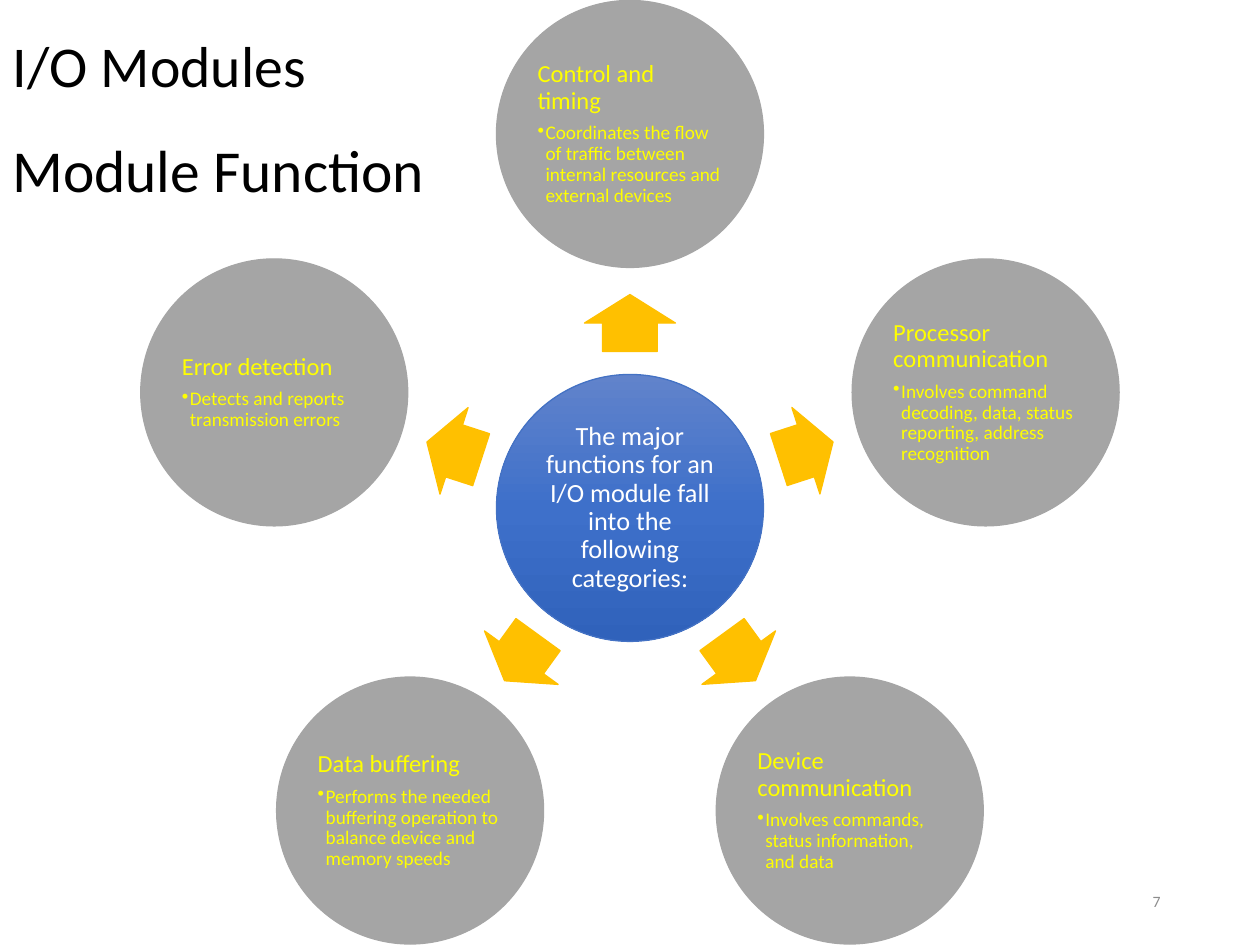
"""Build the I/O module functions slide with a radial diagram."""
import copy
import dataclasses
import math

import pptx
import pptx.dml.color
import pptx.enum.shapes
import pptx.enum.text
import pptx.oxml.ns
import pptx.util
from lxml import etree

ALIGN = pptx.enum.text.PP_ALIGN
ANCHOR = pptx.enum.text.MSO_ANCHOR
SHAPE = pptx.enum.shapes.MSO_SHAPE


@dataclasses.dataclass(frozen=True)
class Theme:
    font: str = "Calibri"
    black: str = "000000"
    white: str = "FFFFFF"
    yellow: str = "FFFF00"
    number: str = "8C8C8C"
    circle: str = "A5A5A5"
    arrow: str = "FFC000"
    hub: str = "4472C4"
    hub_stops: tuple = ("6183CB", "3E70CA", "3062BB")
    title_size: int = 33
    subtitle_size: int = 34
    hub_size: int = 15
    heading_size: int = 14
    detail_size: int = 11
    number_size: int = 9


def px(length):
    return pptx.util.Emu(round(length * 914400 / 126))


def rgb(value):
    return pptx.dml.color.RGBColor.from_string(value)


def write(para, text, *, font, size, color, align=ALIGN.LEFT, spacing=0.9,
          before=0, after=0, bullet=False):
    para.alignment = align
    para.line_spacing = spacing
    para.space_before = pptx.util.Pt(before)
    para.space_after = pptx.util.Pt(after)
    span = para.add_run()
    span.text = text
    span.font.name = font
    span.font.size = pptx.util.Pt(size)
    span.font.color.rgb = rgb(color)
    if bullet:
        properties = para._p.get_or_add_pPr()
        properties.set("marL", str(px(8)))
        properties.set("indent", str(-px(8)))
        mark = etree.SubElement(properties, pptx.oxml.ns.qn("a:buChar"))
        mark.set("char", "•")


class SlideBuilder:
    def __init__(self, deck, theme):
        self.theme = theme
        self.page = deck.slides.add_slide(deck.slide_layouts[5])

    def prepare(self, frame, anchor, inset=None):
        frame.word_wrap = True
        frame.auto_size = pptx.enum.text.MSO_AUTO_SIZE.NONE
        frame.vertical_anchor = anchor
        if inset is not None:
            frame.margin_left = frame.margin_right = px(inset)
            frame.margin_top = frame.margin_bottom = px(inset)

    def title(self, text, left, top, width, height):
        box = self.page.shapes.title
        box.left, box.top, box.width, box.height = map(px, (left, top, width, height))
        self.prepare(box.text_frame, ANCHOR.MIDDLE)
        write(box.text_frame.paragraphs[0], text, font=self.theme.font,
              size=self.theme.title_size, color=self.theme.black)

    def text(self, text, left, top, width, height, anchor=ANCHOR.TOP, **style):
        box = self.page.shapes.add_textbox(*map(px, (left, top, width, height)))
        self.prepare(box.text_frame, anchor)
        write(box.text_frame.paragraphs[0], text, font=self.theme.font, **style)

    def shape(self, kind, center_x, center_y, width, height, color):
        shape = self.page.shapes.add_shape(
            kind, px(center_x - width / 2), px(center_y - height / 2), px(width), px(height))
        shape.shadow.inherit = False
        shape.fill.solid()
        shape.fill.fore_color.rgb = rgb(color)
        shape.line.color.rgb = rgb(color)
        shape.line.width = pptx.util.Pt(0.75)
        return shape

    def circle(self, center_x, center_y, diameter, color, lines):
        circle = self.shape(SHAPE.OVAL, center_x, center_y, diameter, diameter, color)
        frame = circle.text_frame
        self.prepare(frame, ANCHOR.MIDDLE, inset=2)
        for index, (text, style) in enumerate(lines):
            para = frame.add_paragraph() if index else frame.paragraphs[0]
            write(para, text, font=self.theme.font, **style)
        return circle

    def hub(self, text, center_x, center_y, diameter):
        style = dict(size=self.theme.hub_size, color=self.theme.white, align=ALIGN.CENTER, after=5)
        hub = self.circle(center_x, center_y, diameter, self.theme.hub, [(text, style)])
        hub.fill.gradient()
        hub.fill.gradient_angle = 270
        stop_list = hub._element.spPr.find(".//" + pptx.oxml.ns.qn("a:gsLst"))
        stop_list.insert(1, copy.deepcopy(stop_list[0]))
        for index, color in enumerate(self.theme.hub_stops):
            stop = hub.fill.gradient_stops[index]
            stop.position = index / 2
            stop.color.rgb = rgb(color)

    def arrow(self, center_x, center_y, length, breadth, rotation):
        arrow = self.shape(SHAPE.RIGHT_ARROW, center_x, center_y, length, breadth, self.theme.arrow)
        arrow.adjustments[0] = 0.6
        arrow.adjustments[1] = 0.5
        arrow.rotation = rotation

    def function(self, heading, detail, center_x, center_y, diameter):
        heading_style = dict(size=self.theme.heading_size, color=self.theme.yellow, after=5)
        detail_style = dict(size=self.theme.detail_size, color=self.theme.yellow,
                            after=1.65, bullet=True)
        self.circle(center_x, center_y, diameter, self.theme.circle,
                    [(heading, heading_style), (detail, detail_style)])


FUNCTIONS = [
    ("Control and timing",
     "Coordinates the flow of traffic between internal resources and external devices"),
    ("Processor communication",
     "Involves command decoding, data, status reporting, address recognition"),
    ("Device communication", "Involves commands, status information, and data"),
    ("Data buffering",
     "Performs the needed buffering operation to balance device and memory speeds"),
    ("Error detection", "Detects and reports transmission errors"),
]


def main():
    deck = pptx.Presentation()
    deck.slide_width, deck.slide_height = px(1260), px(945)
    theme = Theme()
    builder = SlideBuilder(deck, theme)

    builder.text("7", 890, 876, 283, 50, anchor=ANCHOR.MIDDLE, size=theme.number_size,
                 color=theme.number, align=ALIGN.RIGHT, spacing=1.0)
    builder.title("I/O Modules", 0, 0, 400, 137)
    builder.text("Module Function", 0, 135, 514, 107, size=theme.subtitle_size,
                 color=theme.black, before=7.5)

    hub_x, hub_y, diameter = 630, 508, 267
    circle_orbit, arrow_orbit = 374, 185
    builder.hub("The major functions for an I/O module fall into the following categories:",
                hub_x, hub_y, diameter)
    for index, (heading, detail) in enumerate(FUNCTIONS):
        degrees = (270 + index * 360 / len(FUNCTIONS)) % 360
        across, down = math.cos(math.radians(degrees)), math.sin(math.radians(degrees))
        builder.arrow(hub_x + arrow_orbit * across, hub_y + arrow_orbit * down, 57, 91, degrees)
        builder.function(heading, detail, hub_x + circle_orbit * across,
                         hub_y + circle_orbit * down, diameter)

    deck.save("out.pptx")


if __name__ == "__main__":
    main()
